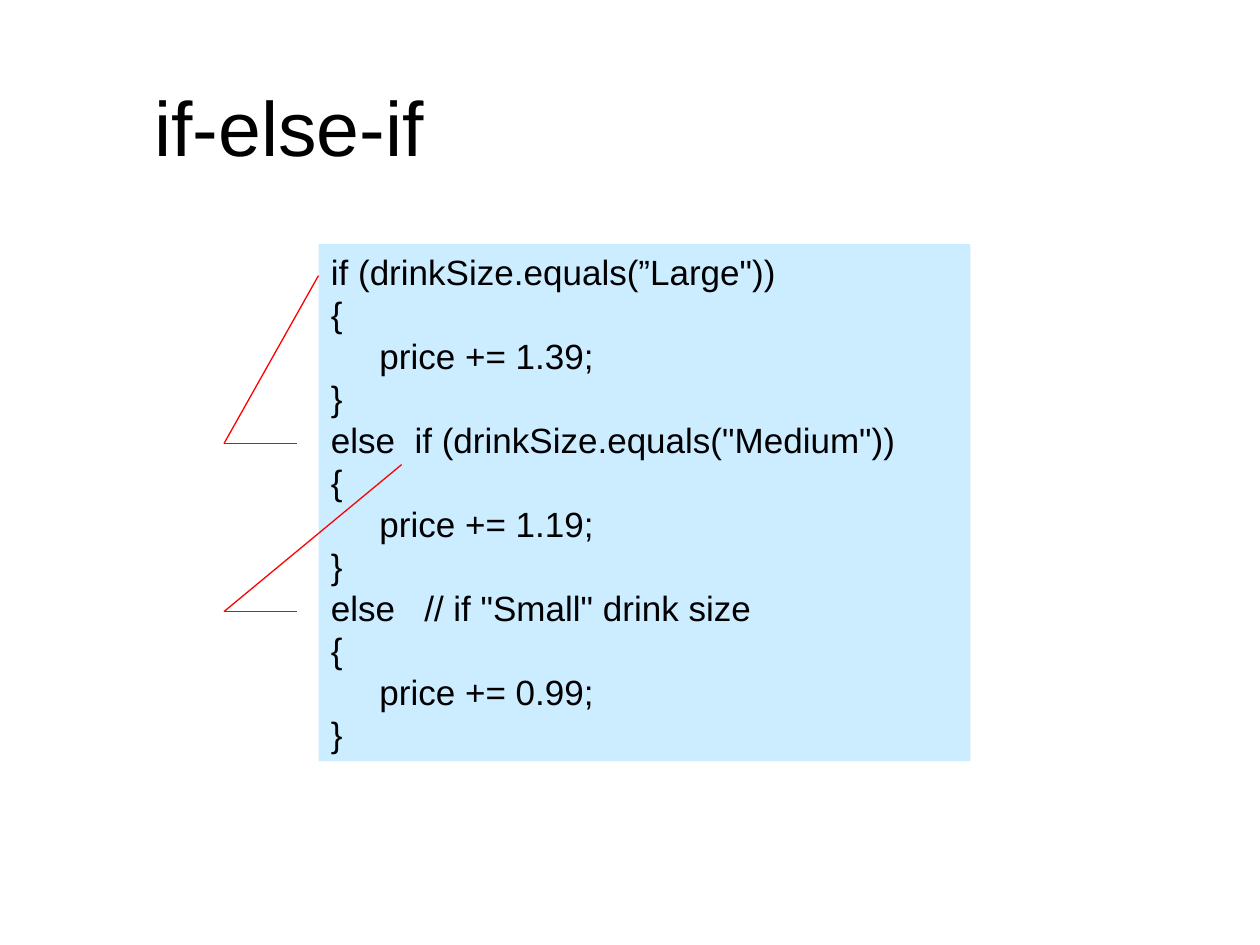
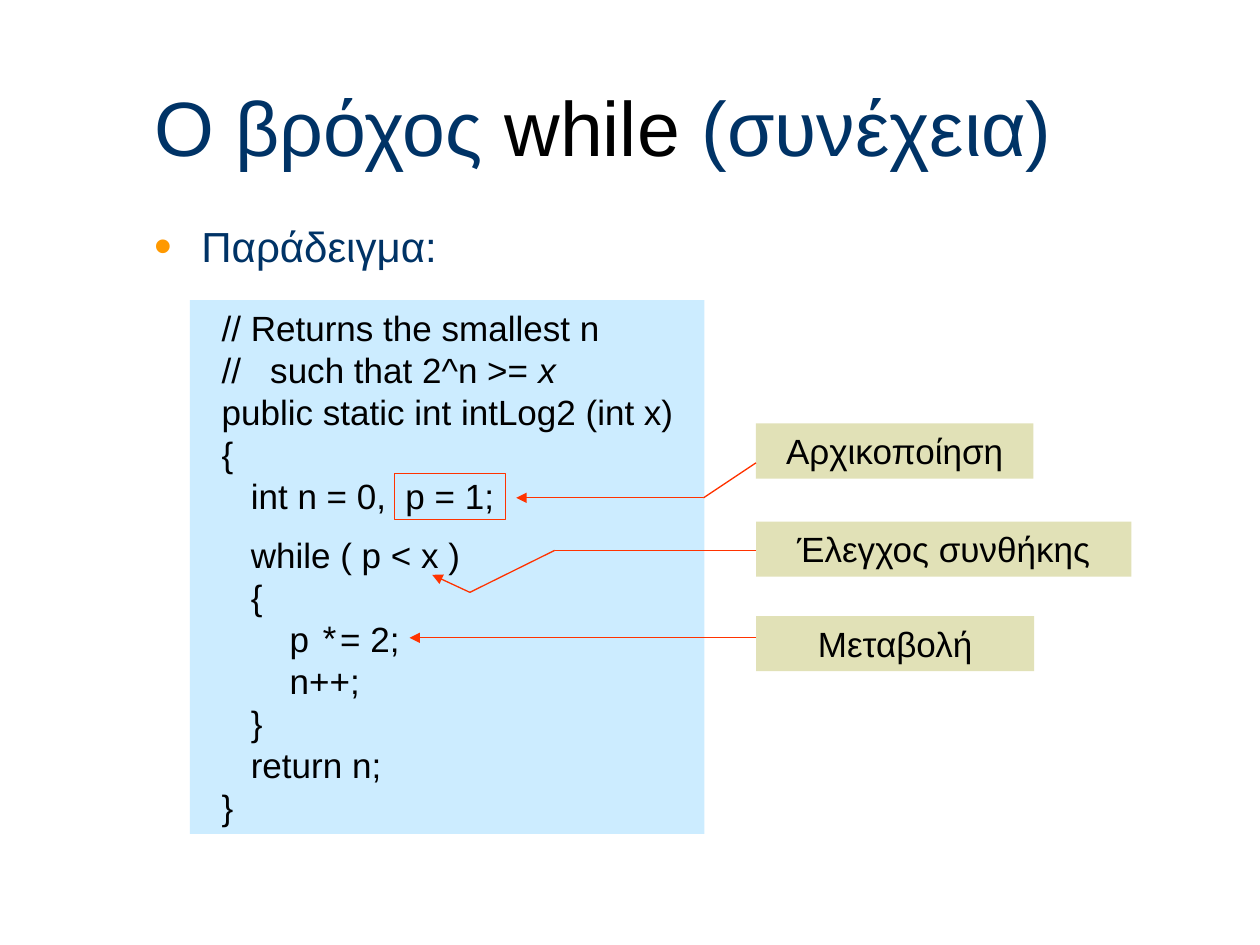
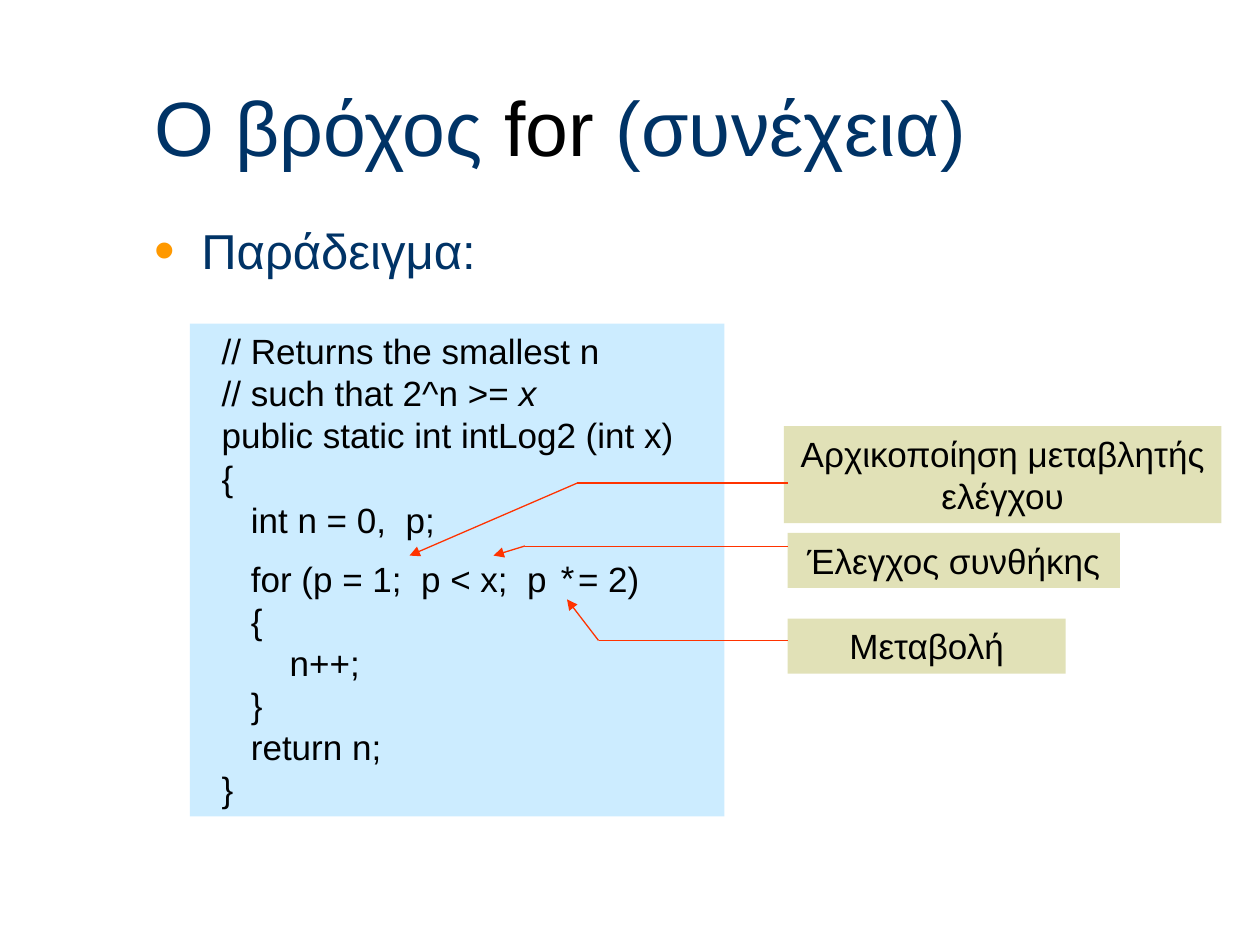
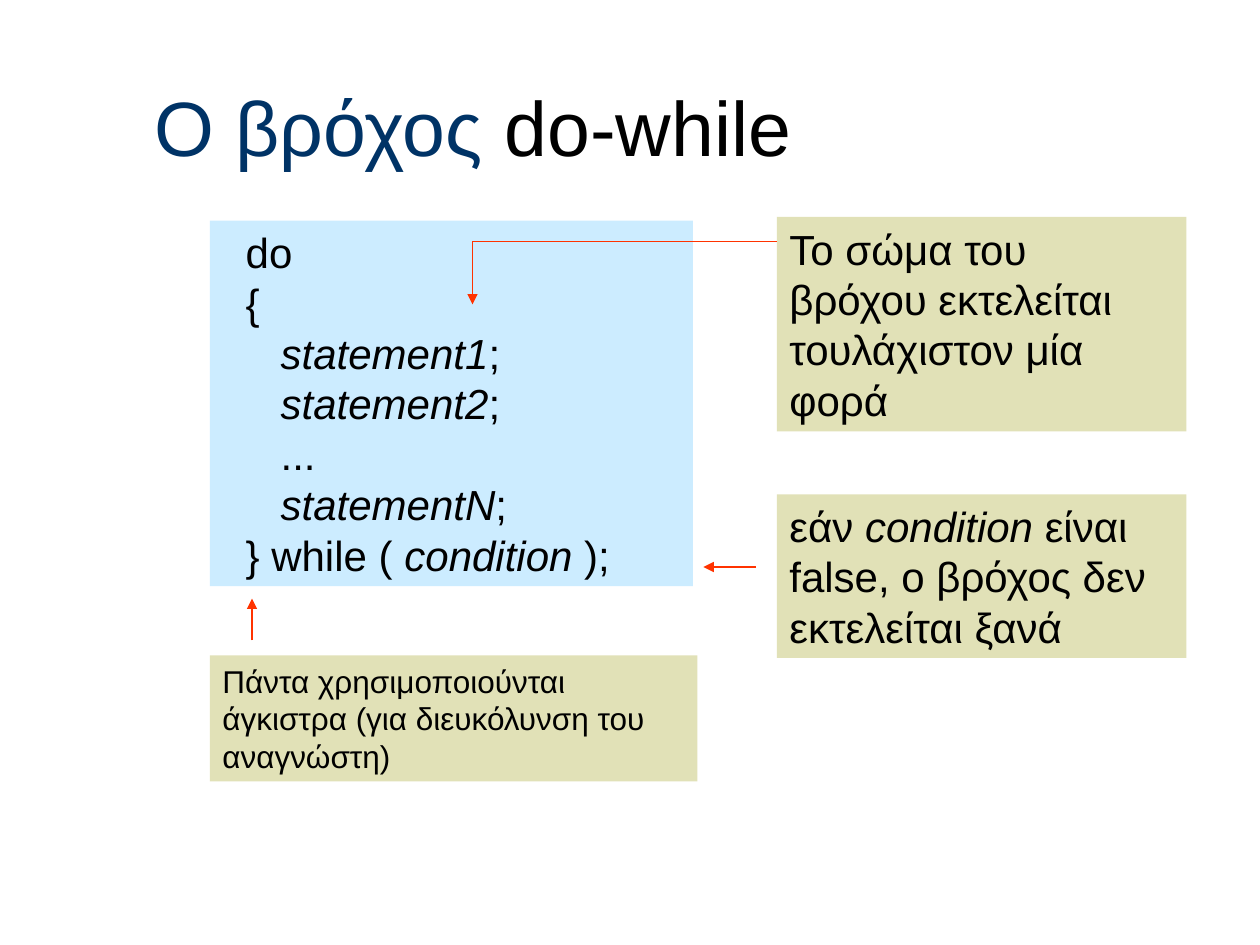
from lxml import etree
from pptx import Presentation
from pptx.dml.color import RGBColor
from pptx.enum.shapes import MSO_CONNECTOR, MSO_SHAPE
from pptx.enum.text import MSO_ANCHOR, MSO_AUTO_SIZE, PP_ALIGN
from pptx.oxml.ns import qn
from pptx.util import Pt

RECT = MSO_SHAPE.RECTANGLE
STRAIGHT = MSO_CONNECTOR.STRAIGHT
TOP, MIDDLE = MSO_ANCHOR.TOP, MSO_ANCHOR.MIDDLE
LEFT, CENTER = PP_ALIGN.LEFT, PP_ALIGN.CENTER
NO_FIT = MSO_AUTO_SIZE.NONE

FONT, MONO = "Arial", "Courier New"
BLACK, NAVY, ORANGE = "000000", "003366", "FF9900"
CODE_FILL, LABEL_FILL = "CCECFF", "E1E1B7"
RED, ARROW_RED = "FF0000", "FF3300"
TITLE_BOX = (81, 38, 612, 68)
BODY_BOX = (81, 122.5, 612, 378)
TITLE_ONLY = 5


def rgb(value):
    return RGBColor.from_string(value)


# Text: a run is a string or (string, dict of font settings)
def add_runs(p, runs, size, color=BLACK):
    for item in runs:
        text, style = (item, {}) if isinstance(item, str) else item
        r = p.add_run()
        r.text = text
        r.font.size = Pt(size)
        r.font.name = style.get("font", FONT)
        r.font.italic = style.get("italic", False)
        r.font.color.rgb = rgb(style.get("color", color))


def italic(text):
    return text, {"italic": True}


def black(text):
    return text, {"color": BLACK}


STAR = ("*", {"font": MONO})


def set_frame(tf, anchor=TOP):
    tf.word_wrap = True
    tf.auto_size = NO_FIT
    tf.vertical_anchor = anchor
    tf.margin_left = tf.margin_right = Pt(7.2)
    tf.margin_top = tf.margin_bottom = Pt(3.6)


# Shared parts
def add_titled_slide(prs, runs):
    slide = prs.slides.add_slide(prs.slide_layouts[TITLE_ONLY])
    title = slide.shapes.title
    title.left, title.top, title.width, title.height = map(Pt, TITLE_BOX)
    set_frame(title.text_frame, MIDDLE)
    p = title.text_frame.paragraphs[0]
    p.alignment = LEFT
    add_runs(p, runs, 44, NAVY)
    return slide


def add_bullet(slide, text, size):
    tf = slide.shapes.add_textbox(*map(Pt, BODY_BOX)).text_frame
    set_frame(tf)
    p = tf.paragraphs[0]
    pPr = p._p.get_or_add_pPr()
    pPr.set("marL", str(Pt(27)))
    pPr.set("indent", str(-Pt(27)))
    clr = etree.SubElement(pPr, qn("a:buClr"))
    etree.SubElement(clr, qn("a:srgbClr"), val=ORANGE)
    etree.SubElement(pPr, qn("a:buSzPct"), val="120000")
    etree.SubElement(pPr, qn("a:buFont"), typeface=FONT)
    etree.SubElement(pPr, qn("a:buChar"), char="•")
    add_runs(p, [text], size, NAVY)


def add_panel(slide, box, fill, paragraphs, size, align=LEFT, gap_at=None):
    """Filled box of text; paragraph number gap_at gets space before it."""
    sp = slide.shapes.add_shape(RECT, *map(Pt, box))
    sp.shadow.inherit = False
    sp.fill.solid()
    sp.fill.fore_color.rgb = rgb(fill)
    sp.line.fill.background()
    tf = sp.text_frame
    set_frame(tf)
    for i, runs in enumerate(paragraphs):
        p = tf.add_paragraph() if i else tf.paragraphs[0]
        p.alignment = align
        if i and i == gap_at:
            p.space_before = Pt(10)
        add_runs(p, [runs] if isinstance(runs, str) else runs, size)


def add_labels(slide, box, labels, align=LEFT):
    """Notes placed from the top left corner of the code box."""
    for dx, dy, width, height, size, runs in labels:
        add_panel(slide, (box[0] + dx, box[1] + dy, width, height),
                  LABEL_FILL, [runs], size, align)


def add_path(slide, box, points, color=ARROW_RED, arrow=True, first_width=0.75):
    """Straight lines through points, measured from the code box corner."""
    spots = [(Pt(box[0] + x), Pt(box[1] + y)) for x, y in points]
    for i, (start, end) in enumerate(zip(spots, spots[1:])):
        line = slide.shapes.add_connector(STRAIGHT, *start, *end)
        line.line.color.rgb = rgb(color)
        line.line.width = Pt(0.75 if i else first_width)
        if arrow and i == len(spots) - 2:
            etree.SubElement(line.line._get_or_add_ln(), qn("a:tailEnd"),
                             type="triangle")
        etree.SubElement(line._element.spPr, qn("a:effectLst"))


# Slides
def build_if_else(prs, box):
    slide = add_titled_slide(prs, [black("if-else-if")])
    code = []
    for head, price in (('if (drinkSize.equals(”Large"))', "1.39"),
                        ('else  if (drinkSize.equals("Medium"))', "1.19"),
                        ('else   // if "Small" drink size', "0.99")):
        code += [head, "{", f"     price += {price};", "}"]
    add_panel(slide, box, CODE_FILL, code, 20)
    for x, y, else_y in ((0, 18, 114), (47.5, 126, 210)):
        add_path(slide, box, [(x, y), (-54, else_y), (-12, else_y)], RED, False)


def build_loop(prs, box, keyword, bullet_size, code, labels, paths):
    slide = add_titled_slide(prs, ["Ο βρόχος ", black(keyword), " (συνέχεια)"])
    add_panel(slide, box, CODE_FILL, code, 20, gap_at=5)
    add_bullet(slide, "Παράδειγμα:", bullet_size)
    add_labels(slide, box, labels, CENTER)
    for points, first_width in paths:
        add_path(slide, box, points, first_width=first_width)
    return slide


def loop_code(comment, declaration, loop, body):
    return ["  // Returns the smallest n",
            [comment, italic("x")],
            "  public static int intLog2 (int x)",
            "  {",
            declaration,
            loop,
            "     {",
            *body,
            "         n++;",
            "     }",
            "     return n;",
            "  }"]


def build_while(prs, box):
    code = loop_code("  //   such that 2^n >= ", "     int n = 0,  p = 1;",
                     "     while ( p < x )", [["         p ", STAR, "= 2;"]])
    labels = [(323.5, 70.5, 158.5, 31.5, 20, "Αρχικοποίηση"),
              (323.5, 126.5, 214.5, 31.5, 20, "Έλεγχος συνθήκης"),
              (323.5, 180.5, 159, 31.5, 20, "Μεταβολή")]
    paths = [([(323.5, 93), (293.5, 113), (186.5, 113)], 0.75),
             ([(323.5, 143), (208.5, 143), (160, 167), (138.5, 157)], 0.75),
             ([(323.5, 193), (125.5, 193)], 0.75)]
    slide = build_loop(prs, box, "while", 24, code, labels, paths)
    # Frame around the initial value
    frame = slide.shapes.add_shape(RECT, Pt(box[0] + 117), Pt(box[1] + 99),
                                   Pt(63.5), Pt(26.5))
    frame.shadow.inherit = False
    frame.fill.background()
    frame.line.color.rgb = rgb(ARROW_RED)
    frame.line.width = Pt(0.75)


def build_for(prs, box):
    code = loop_code("  // such that 2^n >= ", "     int n = 0,  p;",
                     ["     for (p = 1;  p < x;  p ", STAR, "= 2)"], [])
    labels = [(339.5, 58.5, 250, 55.5, 20, "Αρχικοποίηση μεταβλητής ελέγχου"),
              (341.5, 119.5, 190, 31.5, 20, "Έλεγχος συνθήκης"),
              (341.5, 168.5, 159, 31.5, 20, "Μεταβολή")]
    paths = [([(341.5, 91), (221.5, 91), (125.5, 132.5)], 0.75),
             ([(341.5, 127), (191.5, 127), (173.5, 132.5)], 0.25),
             ([(341.5, 181), (233.5, 181), (215.5, 157.5)], 0.75)]
    build_loop(prs, box, "for", 28, code, labels, paths)


def build_do_while(prs, box):
    slide = add_titled_slide(prs, ["Ο βρόχος ", black("do-while")])
    first, second, last = (["     ", italic(f"statement{n}"), ";"] for n in "12N")
    code = ["  do", "  {", first, second, "     ...", last,
            ["  } while ( ", italic("condition"), " );"]]
    add_panel(slide, box, CODE_FILL, code, 24)
    add_labels(slide, box, [
        (324, -2, 234, 122.5, 24,
         "Το σώμα του βρόχου εκτελείται τουλάχιστον μία φορά"),
        (0, 248.5, 278.5, 72, 18,
         "Πάντα χρησιμοποιούνται άγκιστρα (για διευκόλυνση του αναγνώστη)"),
        (324, 156.5, 234, 93.5, 24,
         ["εάν ", italic("condition"),
          " είναι false, ο βρόχος δεν εκτελείται ξανά"])])
    for points in ([(324, 12), (150, 12), (150, 48)],
                   [(312, 198), (282, 198)],
                   [(24, 240), (24, 216)]):
        add_path(slide, box, points)


def main():
    prs = Presentation()
    prs.slide_width, prs.slide_height = Pt(720), Pt(540)
    build_if_else(prs, (182, 139.5, 372.5, 295.5))
    build_while(prs, (108.5, 171.5, 294, 305))
    build_for(prs, (108.5, 185, 305.5, 281.5))
    build_do_while(prs, (120, 126, 276, 209))
    prs.save("out.pptx")


if __name__ == "__main__":
    main()
